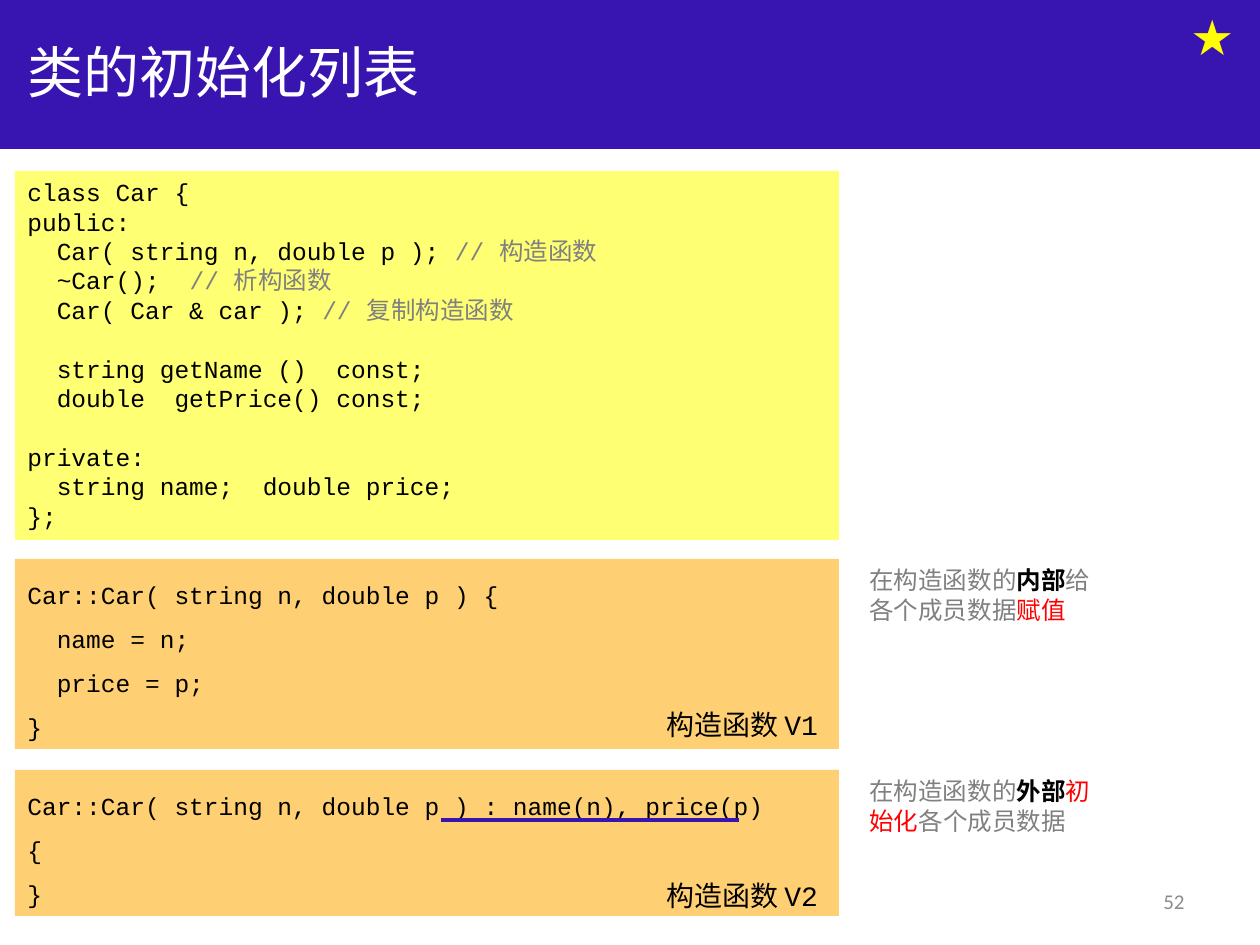
from pptx import Presentation
from pptx.dml.color import RGBColor
from pptx.enum.shapes import MSO_CONNECTOR, MSO_SHAPE
from pptx.enum.text import MSO_ANCHOR, PP_ALIGN
from pptx.oxml.ns import qn
from pptx.util import Pt
from lxml.etree import SubElement

BLUE = RGBColor(0x38, 0x14, 0xB0)
LEMON = RGBColor(0xFF, 0xFF, 0x73)
ORANGE = RGBColor(0xFF, 0xD0, 0x73)
YELLOW = RGBColor(0xFF, 0xFF, 0x00)
WHITE = RGBColor(0xFF, 0xFF, 0xFF)
BLACK = RGBColor(0x00, 0x00, 0x00)
GRAY = RGBColor(0x80, 0x80, 0x80)
PALE = RGBColor(0x8C, 0x8C, 0x8C)
RED = RGBColor(0xFF, 0x00, 0x00)
MONO, SANS = "Courier New", "Calibri"

TITLE = "类的初始化列表"
CLASS = """class Car {
public:
  Car( string n, double p ); // 构造函数
  ~Car();  // 析构函数
  Car( Car & car ); // 复制构造函数

  string getName ()  const;
  double  getPrice() const;

private:
  string name;  double price;
};"""
INNER = """Car::Car( string n, double p ) {
  name = n;
  price = p;
}"""
OUTER = """Car::Car( string n, double p ) : name(n), price(p)
{
}"""

# code, top, height, fill, line spacing
PANELS = [
    (CLASS, 171, 369, LEMON, 1.0),
    (INNER, 559, 190, ORANGE, 1.5),
    (OUTER, 770, 146, ORANGE, 1.5),
]
LABELS = [("构造函数 V1", 701), ("构造函数 V2", 872)]

STYLES = {
    "plain": {"color": GRAY},
    "strong": {"color": BLACK, "bold": True},
    "alert": {"color": RED},
}
NOTES = [
    (559, [[("在构造函数的", "plain"), ("内部", "strong"), ("给", "plain")],
           [("各个成员数据", "plain"), ("赋值", "alert")]]),
    (770, [[("在构造函数的", "plain"), ("外部", "strong"), ("初", "alert")],
           [("始化", "alert"), ("各个成员数据", "plain")]]),
]

SCALE = 914400 / 126


def px(*vals):
    return [round(val * SCALE) for val in vals]


def style(font, color, **form):
    font.color.rgb = color
    for key, val in form.items():
        setattr(font, key, val)


def write(frame, lines, size, name=MONO, **form):
    """Fill a frame with lines, each a list of (text, font values)."""
    for num, line in enumerate(lines):
        para = frame.paragraphs[0] if num == 0 else frame.add_paragraph()
        for key, val in form.items():
            setattr(para, key, val)
        style(para.font, BLACK, size=Pt(size), name=name)
        for text, look in line:
            run = para.add_run()
            run.text = text
            style(run.font, **{"size": Pt(size), "name": name, **look})


def parse_code(code):
    """Split each code line into its statement and its gray comment."""
    lines = []
    for line in code.split("\n"):
        head, mark, tail = line.partition("//")
        parts = [(head, {"color": BLACK}), (mark + tail, {"color": GRAY})]
        lines.append([part for part in parts if part[0]])
    return lines


def add_rect(slide, box, fill):
    rect = slide.shapes.add_shape(MSO_SHAPE.RECTANGLE, *px(*box))
    rect.shadow.inherit = False
    rect.fill.solid()
    rect.fill.fore_color.rgb = fill
    rect.line.fill.background()
    return rect


def add_text(slide, box, lines, size, name=MONO, wrap=False,
             anchor=MSO_ANCHOR.TOP, **form):
    frame = slide.shapes.add_textbox(*px(*box)).text_frame
    frame.word_wrap = wrap
    frame.vertical_anchor = anchor
    write(frame, lines, size, name, **form)


def main():
    deck = Presentation()
    deck.slide_width, deck.slide_height = px(1260, 945)
    slide = deck.slides.add_slide(deck.slide_layouts[5])

    banner = add_rect(slide, (0, 0, 1260, 149), BLUE)
    title = slide.shapes.title
    title.left, title.top, title.width, title.height = px(15, 8, 1134, 127)
    title.text_frame.vertical_anchor = MSO_ANCHOR.MIDDLE
    write(title.text_frame, [[(TITLE, {"color": WHITE})]], 32, SANS,
          alignment=PP_ALIGN.LEFT)
    title.element.addprevious(banner.element)

    add_text(slide, (1178, 0, 69, 72), [[("★", {"color": YELLOW})]], 28, SANS)

    for code, top, height, fill, gap in PANELS:
        frame = add_rect(slide, (15, top, 824, height), fill).text_frame
        frame.word_wrap = True
        frame.vertical_anchor = MSO_ANCHOR.TOP
        write(frame, parse_code(code), 14, line_spacing=gap,
              alignment=PP_ALIGN.LEFT)

    for text, top in LABELS:
        add_text(slide, (654, top, 185, 47), [[(text, {"color": BLACK})]], 16)

    rule = slide.shapes.add_connector(MSO_CONNECTOR.STRAIGHT,
                                      *px(441, 820, 739, 820))
    rule.line.color.rgb = BLUE
    rule.line.width = Pt(2.25)
    SubElement(rule.element.spPr, qn("a:effectLst"))

    for top, rows in NOTES:
        lines = [[(text, STYLES[key]) for text, key in row] for row in rows]
        add_text(slide, (857, top, 292, 72), lines, 14, wrap=True)

    add_text(slide, (903, 876, 294, 50), [[("52", {"color": PALE})]], 12, SANS,
             wrap=True, anchor=MSO_ANCHOR.MIDDLE, alignment=PP_ALIGN.RIGHT)

    deck.save("out.pptx")


if __name__ == "__main__":
    main()
